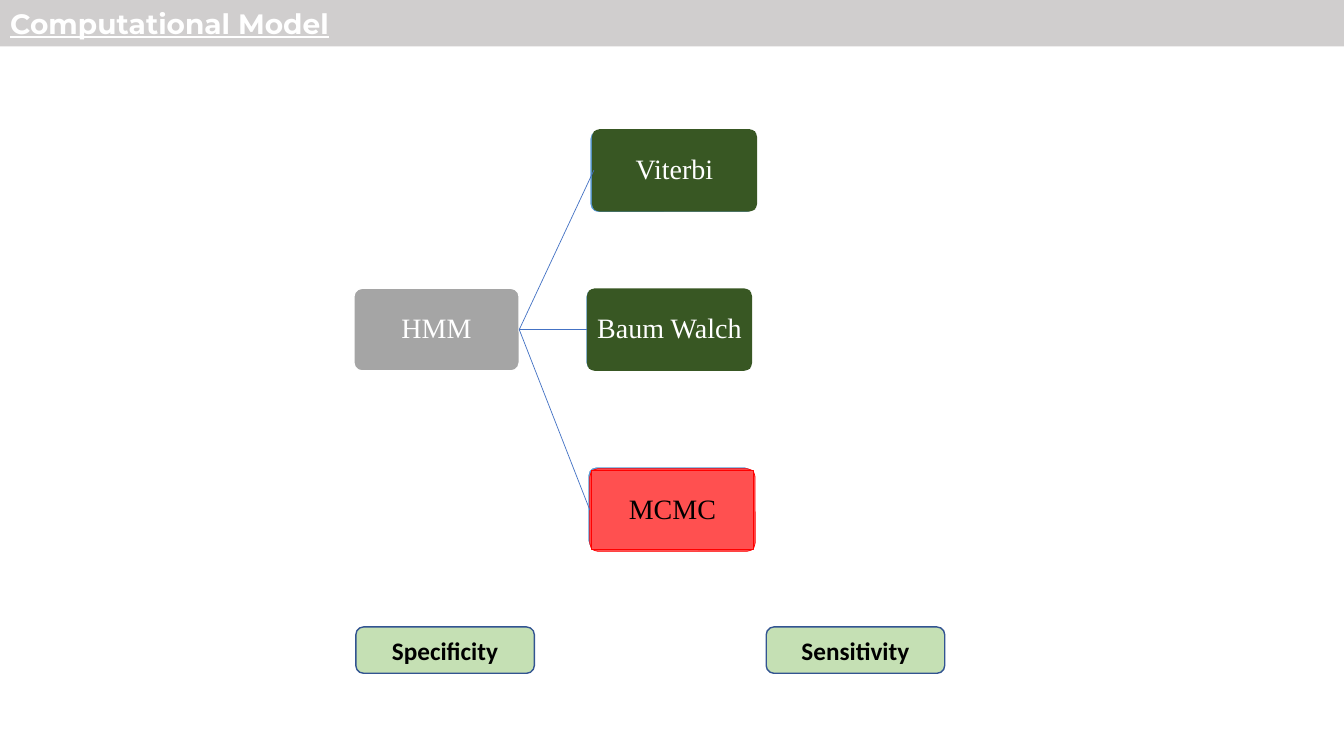
from pptx import Presentation
from pptx.dml.color import RGBColor
from pptx.enum.shapes import MSO_CONNECTOR, MSO_SHAPE
from pptx.enum.text import MSO_ANCHOR, MSO_AUTO_SIZE, PP_ALIGN
from pptx.oxml.ns import qn
from pptx.util import Emu, Pt

EMU_PER_PX = 9144  # 100 px to the inch
CARD_W, CARD_H, INSET = 164, 82, 2

NODE_FONT = dict(name="Times New Roman", size=Pt(20))
BADGE_FONT = dict(name="Calibri", size=Pt(18), bold=True)
TITLE_FONT = dict(name="Montserrat", size=Pt(20), bold=True, underline=True)


def px(n):
    return Emu(n * EMU_PER_PX)


def rgb(color):
    return RGBColor.from_string(color)


def paint(sp, fill, line=None, width=1):
    if fill:
        sp.fill.solid()
        sp.fill.fore_color.rgb = rgb(fill)
    else:
        sp.fill.background()
    if line:
        sp.line.color.rgb = rgb(line)
        sp.line.width = Pt(width)
    else:
        sp.line.fill.background()


def write(sp, text, font, color, align=PP_ALIGN.CENTER, spacing=1.0):
    tf = sp.text_frame
    tf.word_wrap = True
    tf.auto_size = MSO_AUTO_SIZE.NONE
    tf.vertical_anchor = MSO_ANCHOR.MIDDLE
    p = tf.paragraphs[0]
    p.alignment = align
    p.line_spacing = spacing
    r = p.add_run()
    r.text = text
    for key, value in font.items():
        setattr(r.font, key, value)
    r.font.color.rgb = rgb(color)


def add_box(s, kind, x, y, w, h, fill, line=None, width=1):
    sp = s.shapes.add_shape(kind, px(x), px(y), px(w), px(h))
    sp.shadow.inherit = False
    paint(sp, fill, line, width)
    return sp


def add_card(s, x, y, fill, line=None, width=1):
    card = add_box(s, MSO_SHAPE.ROUNDED_RECTANGLE, x, y, CARD_W, CARD_H,
                   fill, line, width)
    card.adjustments[0] = 0.1
    return card


def add_node(s, text, x, y, fill, color="FFFFFF", line=None, width=1, face_fill=None):
    """Rounded card with a square label face set inside it."""
    card = add_card(s, x, y, fill, line, width)
    face = add_box(s, MSO_SHAPE.RECTANGLE, x + INSET, y + INSET,
                   CARD_W - 2 * INSET, CARD_H - 2 * INSET,
                   face_fill, line if face_fill else None, width)
    tf = face.text_frame
    tf.margin_left = tf.margin_right = tf.margin_top = tf.margin_bottom = px(1)
    write(face, text, NODE_FONT, color, spacing=0.9)
    return card, face


def add_link(s, start, end):
    c = s.shapes.add_connector(MSO_CONNECTOR.STRAIGHT, 0, 0, 0, 0)
    c.begin_connect(start, 3)
    c.end_connect(end, 1)
    c.line.color.rgb = rgb("4472C4")
    c.line.width = Pt(0.5)
    sp_pr = c._element.spPr
    sp_pr.append(sp_pr.makeelement(qn("a:effectLst"), {}))


def add_badge(s, text, x):
    sp = add_box(s, MSO_SHAPE.ROUNDED_RECTANGLE, x, 622, 177, 46, "C5E0B4", "325491")
    write(sp, text, BADGE_FONT, "000000")


def add_title(s, text, width):
    sp = s.shapes.title
    sp.left, sp.top, sp.width, sp.height = px(0), px(0), width, px(46)
    paint(sp, "D0CECE")
    write(sp, text, TITLE_FONT, "FFFFFF", PP_ALIGN.LEFT)


def main():
    prs = Presentation()
    prs.slide_width, prs.slide_height = px(1333), px(750)
    s = prs.slides.add_slide(prs.slide_layouts[5])
    add_title(s, "Computational Model", prs.slide_width)

    # Model and the blue backing cards of its algorithms
    hmm, _ = add_node(s, "HMM", 351, 286, "A5A5A5", line="FFFFFF")
    for x, y in ((585, 129), (581, 286), (583, 463)):
        add_card(s, x, y, "5B9BD5", "FFFFFF")

    # Algorithms
    mcmc, _ = add_node(s, "MCMC", 585, 465, "FF5050", "000000",
                       line="FF0000", width=0.5, face_fill="FF5050")
    _, viterbi = add_node(s, "Viterbi", 587, 128, "385723", face_fill="385723")
    baum, _ = add_node(s, "Baum Walch", 582, 286, "385723", face_fill="385723")

    # Branches
    for target in (viterbi, baum, mcmc):
        add_link(s, hmm, target)

    # Measures
    add_badge(s, "Specificity", 353)
    add_badge(s, "Sensitivity", 760)

    prs.save("out.pptx")


if __name__ == "__main__":
    main()
